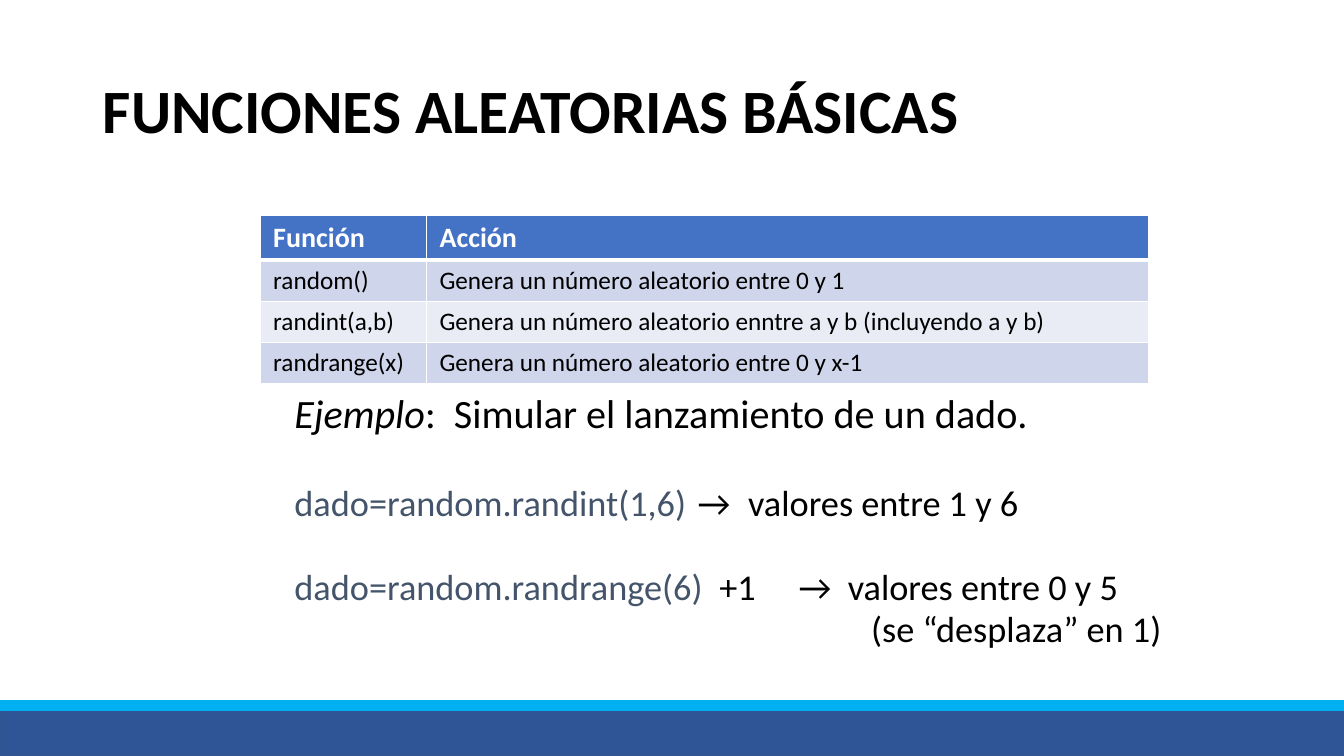
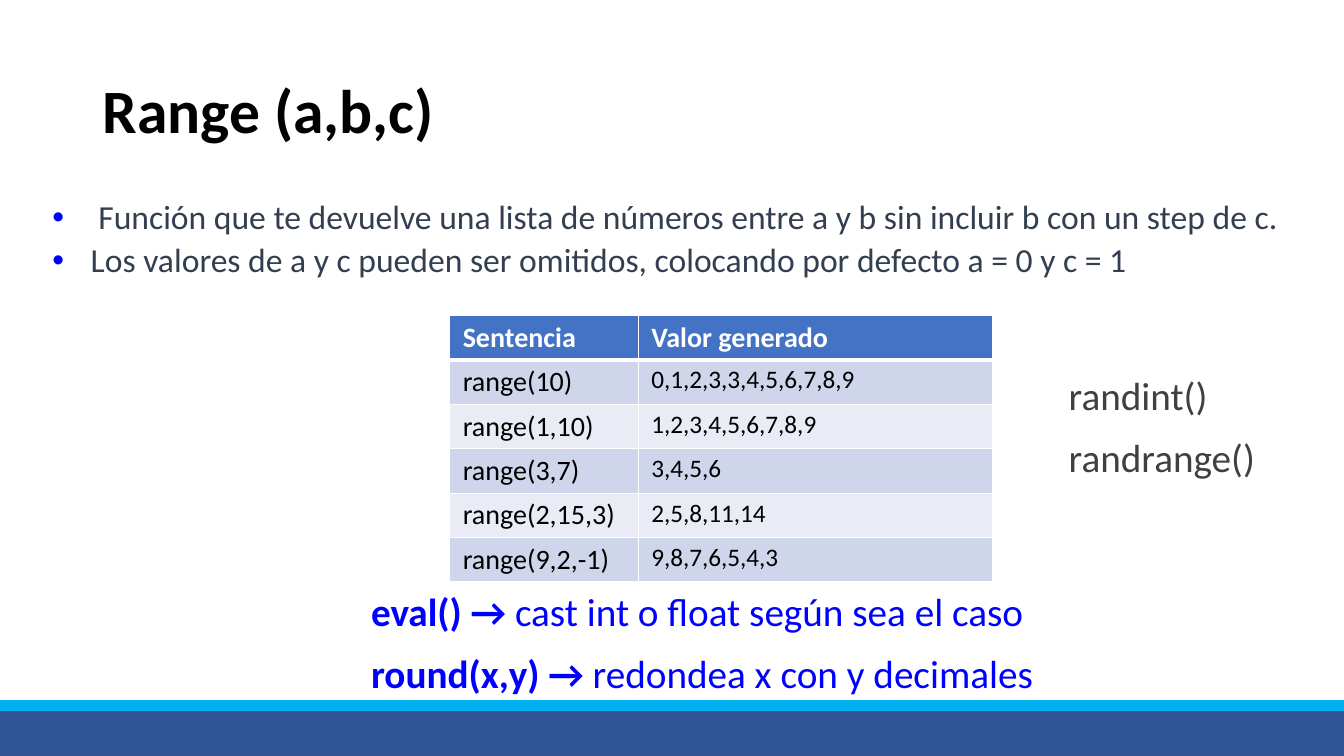
from dataclasses import dataclass

import lxml.etree
import pptx
import pptx.dml.color
import pptx.enum.shapes
import pptx.enum.text
import pptx.oxml.ns
import pptx.presentation
import pptx.shapes.base
import pptx.slide
import pptx.table
import pptx.text.text
import pptx.util

Inches = pptx.util.Inches
Pt = pptx.util.Pt


@dataclass(frozen=True)
class Theme:
    font: str = "Calibri"
    black: str = "000000"
    white: str = "FFFFFF"
    slate: str = "44546A"
    dark_slate: str = "333F50"
    gray: str = "404040"
    blue: str = "0000FF"
    band: str = "2F5597"
    band_line: str = "325491"
    stripe: str = "00B0F0"
    header_fill: str = "4472C4"
    row_fills: tuple[str, str] = ("CFD5EA", "E9EBF5")
    title_size: float = 44
    example_size: float = 28.7
    code_size: float = 25.9
    list_size: float = 24
    note_size: float = 28
    header_size: float = 20
    cell_size: float = 18


THEME = Theme()


@dataclass(frozen=True)
class Box:
    left: float
    top: float
    width: float
    height: float

    def lengths(self) -> tuple[int, int, int, int]:
        return Inches(self.left), Inches(self.top), Inches(self.width), Inches(self.height)


@dataclass(frozen=True)
class Band:
    box: Box
    fill: str
    line: str


@dataclass(frozen=True)
class Span:
    text: str
    size: float
    color: str
    bold: bool = False
    italic: bool = False


@dataclass(frozen=True)
class Line:
    spans: tuple[Span, ...]
    spacing: float = 0.9
    before: float = 0
    after: float = 0
    margin: float = 0
    indent: float = 0
    bullet: str = ""
    tabs: tuple[float, ...] = ()
    justified: bool = False


@dataclass(frozen=True)
class Grid:
    left: float
    top: float
    columns: tuple[float, ...]
    sizes: tuple[float, ...]
    rows: tuple[tuple[str, ...], ...]
    row_height: float = 0.41


BANDS = (
    Band(Box(0, 7.03, 13.33, 0.47), THEME.band, THEME.band_line),
    Band(Box(0, 6.95, 13.33, 0.1), THEME.stripe, THEME.stripe),
)
TITLE_BOX = Box(0.92, 0.4, 11.5, 1.45)


def rgb(color: str) -> pptx.dml.color.RGBColor:
    return pptx.dml.color.RGBColor.from_string(color)


def add_node(parent: lxml.etree._Element, tag: str, **attributes: str) -> lxml.etree._Element:
    return lxml.etree.SubElement(parent, pptx.oxml.ns.qn(tag), attributes)


def place(shape: pptx.shapes.base.BaseShape, box: Box) -> None:
    shape.left, shape.top, shape.width, shape.height = box.lengths()


def format_run(run: pptx.text.text._Run, span: Span) -> None:
    font = run.font
    font.name, font.size = THEME.font, Pt(span.size)
    font.bold, font.italic = span.bold, span.italic
    font.color.rgb = rgb(span.color)


def write_line(paragraph: pptx.text.text._Paragraph, line: Line) -> None:
    for span in line.spans:
        run = paragraph.add_run()
        run.text = span.text
        format_run(run, span)
    alignment = pptx.enum.text.PP_ALIGN
    paragraph.alignment = alignment.JUSTIFY if line.justified else alignment.LEFT
    paragraph.line_spacing = line.spacing
    paragraph.space_before, paragraph.space_after = Pt(line.before), Pt(line.after)
    properties = paragraph._p.get_or_add_pPr()
    properties.set("marL", str(Inches(line.margin)))
    properties.set("indent", str(Inches(line.indent)))
    if line.bullet:
        add_node(add_node(properties, "a:buClr"), "a:srgbClr", val=line.bullet)
        add_node(properties, "a:buFont", typeface="Arial")
        add_node(properties, "a:buChar", char="•")
    else:
        add_node(properties, "a:buNone")
    if line.tabs:
        stops = add_node(properties, "a:tabLst")
        for position in line.tabs:
            add_node(stops, "a:tab", pos=str(Inches(position)), algn="l")


def write_lines(text_frame: pptx.text.text.TextFrame, lines: tuple[Line, ...]) -> None:
    text_frame.word_wrap = True
    text_frame.auto_size = pptx.enum.text.MSO_AUTO_SIZE.NONE
    for index, line in enumerate(lines):
        paragraph = text_frame.add_paragraph() if index else text_frame.paragraphs[0]
        write_line(paragraph, line)


def add_bands(slide: pptx.slide.Slide) -> None:
    master_shapes = slide.slide_layout.slide_master.shapes.element
    for index, band in enumerate(BANDS):
        shape = slide.shapes.add_shape(
            pptx.enum.shapes.MSO_SHAPE.RECTANGLE, *band.box.lengths()
        )
        shape.shadow.inherit = False
        shape.fill.solid()
        shape.fill.fore_color.rgb = rgb(band.fill)
        shape.line.color.rgb = rgb(band.line)
        shape.line.width = Pt(1)
        shape.element.nvSpPr.cNvPr.set("id", str(20 + index))
        master_shapes.insert(2 + index, shape.element)


def add_content_slide(
    presentation: pptx.presentation.Presentation, title: str, body: Box, lines: tuple[Line, ...]
) -> pptx.slide.Slide:
    slide = presentation.slides.add_slide(presentation.slide_layouts[1])
    place(slide.shapes.title, TITLE_BOX)
    title_frame = slide.shapes.title.text_frame
    title_frame.vertical_anchor = pptx.enum.text.MSO_ANCHOR.MIDDLE
    write_lines(title_frame, (Line((Span(title, THEME.title_size, THEME.black, bold=True),)),))
    place(slide.placeholders[1], body)
    write_lines(slide.placeholders[1].text_frame, lines)
    return slide


def set_borders(cell: pptx.table._Cell, top: float, bottom: float) -> None:
    properties = cell._tc.get_or_add_tcPr()
    widths = {"a:lnL": 1, "a:lnR": 1, "a:lnT": top, "a:lnB": bottom}
    for index, (tag, width) in enumerate(widths.items()):
        border = add_node(properties, tag, w=str(Pt(width)))
        add_node(add_node(border, "a:solidFill"), "a:srgbClr", val=THEME.white)
        properties.insert(index, border)


def add_grid(slide: pptx.slide.Slide, grid: Grid) -> None:
    box = Box(grid.left, grid.top, sum(grid.columns), grid.row_height * len(grid.rows))
    table = slide.shapes.add_table(len(grid.rows), len(grid.columns), *box.lengths()).table
    for column, width in zip(table.columns, grid.columns):
        column.width = Inches(width)
    for row_index, texts in enumerate(grid.rows):
        is_header = row_index == 0
        fill = THEME.header_fill if is_header else THEME.row_fills[(row_index - 1) % 2]
        color = THEME.white if is_header else THEME.black
        table.rows[row_index].height = Inches(grid.row_height)
        for column_index, text in enumerate(texts):
            cell = table.cell(row_index, column_index)
            cell.margin_left = cell.margin_right = Inches(0.13)
            cell.margin_top = cell.margin_bottom = Inches(0.05)
            cell.fill.solid()
            cell.fill.fore_color.rgb = rgb(fill)
            set_borders(cell, top=3 if row_index == 1 else 1, bottom=3 if is_header else 1)
            cell.text_frame.text = text
            size = THEME.header_size if is_header else grid.sizes[column_index]
            span = Span(text, size, color, bold=is_header)
            format_run(cell.text_frame.paragraphs[0].runs[0], span)


def add_notes_box(slide: pptx.slide.Slide, box: Box, notes: tuple[tuple[Span, ...], ...]) -> None:
    text_frame = slide.shapes.add_textbox(*box.lengths()).text_frame
    text_frame.margin_left = text_frame.margin_right = 0
    lines = tuple(Line(spans, before=12, after=2, margin=0.1) for spans in notes)
    write_lines(text_frame, lines)


def code_line(before: float, indent: float, *spans: Span) -> Line:
    return Line(spans, spacing=0.8, before=before, indent=indent, tabs=(6.35, 7.01))


def code(text: str, color: str = THEME.black) -> Span:
    return Span(text, THEME.code_size, color)


def add_random_slide(presentation: pptx.presentation.Presentation) -> pptx.slide.Slide:
    lines = (
        code_line(
            5, 1,
            Span("Ejemplo", THEME.example_size, THEME.black, italic=True),
            Span(":  Simular el lanzamiento de un dado.", THEME.example_size, THEME.black),
        ),
        code_line(
            38, 1,
            code("dado=random.randint(1,6)", THEME.slate),
            code("\t→\tvalores entre 1 y 6"),
        ),
        code_line(
            35, 1,
            code("dado=random.randrange(6)  ", THEME.slate),
            code("+1\t→  valores entre 0 y 5"),
        ),
        code_line(5, 6.72, code("(se “desplaza” en 1)")),
    )
    slide = add_content_slide(
        presentation, "FUNCIONES ALEATORIAS BÁSICAS", Box(1.82, 3.89, 10.49, 2.78), lines
    )
    add_grid(slide, Grid(2.58, 2.14, (1.65, 7.16), (THEME.cell_size, THEME.cell_size), (
        ("Función", "Acción"),
        ("random()", "Genera un número aleatorio entre 0 y 1"),
        ("randint(a,b)", "Genera un número aleatorio enntre a y b (incluyendo a y b)"),
        ("randrange(x)", "Genera un número aleatorio entre 0 y x-1"),
    )))
    return slide


def add_range_slide(presentation: pptx.presentation.Presentation) -> None:
    points = (
        " Función que te devuelve una lista de números entre a y b sin incluir b con un step de c.",
        "Los valores de a y c pueden ser omitidos, colocando por defecto a = 0 y c = 1",
    )
    lines = tuple(
        Line((Span(point, THEME.list_size, THEME.dark_slate),), before=4.8, margin=0.38,
             indent=-0.38, bullet=THEME.blue, justified=True)
        for point in points
    )
    slide = add_content_slide(presentation, "Range (a,b,c)", Box(0.42, 1.94, 12.66, 4.4), lines)
    add_grid(slide, Grid(4.46, 3.13, (1.87, 3.52), (THEME.header_size, THEME.cell_size), (
        ("Sentencia", "Valor generado"),
        ("range(10)", "0,1,2,3,3,4,5,6,7,8,9"),
        ("range(1,10)", "1,2,3,4,5,6,7,8,9"),
        ("range(3,7)", "3,4,5,6"),
        ("range(2,15,3)", "2,5,8,11,14"),
        ("range(9,2,-1)", "9,8,7,6,5,4,3"),
    )))
    add_notes_box(slide, Box(10.5, 3.69, 2.83, 1.36), tuple(
        (Span(name, THEME.note_size, THEME.gray),) for name in ("randint()", "randrange()")
    ))
    conversions = (
        ("eval() → ", "cast int o float según sea el caso"),
        ("round(x,y) → ", "redondea x con y decimales"),
    )
    add_notes_box(slide, Box(3.58, 5.83, 9.75, 1.2), tuple(
        (Span(name, THEME.note_size, THEME.blue, bold=True),
         Span(meaning, THEME.note_size, THEME.blue))
        for name, meaning in conversions
    ))


def main() -> None:
    presentation = pptx.Presentation()
    presentation.slide_width, presentation.slide_height = Inches(13.33), Inches(7.5)
    add_bands(add_random_slide(presentation))
    add_range_slide(presentation)
    presentation.save("out.pptx")


if __name__ == "__main__":
    main()
